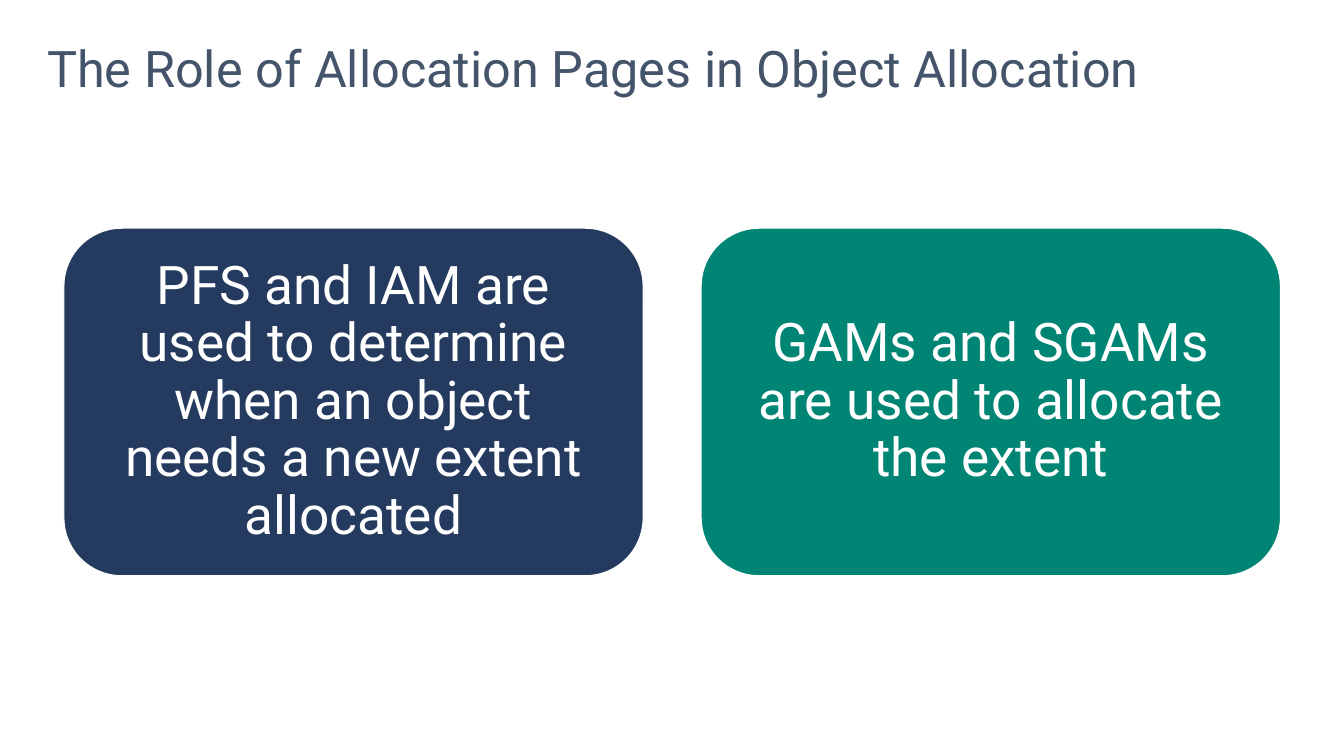
from pptx import Presentation
from pptx.dml.color import RGBColor
from pptx.enum.shapes import MSO_SHAPE
from pptx.enum.text import MSO_ANCHOR, PP_ALIGN
from pptx.util import Cm, Pt

ROUNDED = MSO_SHAPE.ROUNDED_RECTANGLE
TOP, MIDDLE = MSO_ANCHOR.TOP, MSO_ANCHOR.MIDDLE
LEFT, CENTER = PP_ALIGN.LEFT, PP_ALIGN.CENTER

COLORS = {
    "title": "44546A",
    "navy": "243A5E",
    "teal": "008575",
    "white": "FFFFFF",
}

CARDS = [
    ("PFS and IAM are used to determine when an object needs a new extent allocated", "navy"),
    ("GAMs and SGAMs are used to allocate the extent", "teal"),
]
CARD_LEFT, CARD_TOP = 1.61, 5.75
CARD_WIDTH, CARD_HEIGHT = 14.6, 8.76
CARD_GAP = 1.46


class SlideBuilder:
    font = "Roboto"

    def __init__(self, page):
        self.page = page

    def color(self, name):
        return RGBColor.from_string(COLORS[name])

    def set_text(self, box, text, size, color, align, anchor, inset, spacing):
        frame = box.text_frame
        frame.word_wrap = True
        frame.vertical_anchor = anchor
        frame.margin_left = frame.margin_right = Cm(inset)
        frame.margin_top = frame.margin_bottom = Cm(inset)
        frame.text = text
        para = frame.paragraphs[0]
        para.alignment = align
        para.line_spacing = spacing
        span = para.runs[0]
        span.font.name = self.font
        span.font.size = Pt(size)
        span.font.color.rgb = self.color(color)

    def title(self, text, left, top, width, height):
        box = self.page.shapes.add_textbox(Cm(left), Cm(top), Cm(width), Cm(height))
        self.set_text(box, text, 36, "title", LEFT, TOP, 0, Pt(35))

    def card(self, text, fill, left, top, width, height):
        box = self.page.shapes.add_shape(ROUNDED, Cm(left), Cm(top), Cm(width), Cm(height))
        box.shadow.inherit = False
        box.fill.solid()
        box.fill.fore_color.rgb = self.color(fill)
        box.line.color.rgb = self.color("white")
        box.line.width = Pt(0.85)
        self.set_text(box, text, 38, "white", CENTER, MIDDLE, 0.41, 0.9)


def main():
    deck = Presentation()
    deck.slide_width, deck.slide_height = Cm(33.87), Cm(19.05)
    builder = SlideBuilder(deck.slides.add_slide(deck.slide_layouts[6]))
    builder.title("The Role of Allocation Pages in Object Allocation", 1.19, 1.22, 31.5, 1.22)
    for index, (text, fill) in enumerate(CARDS):
        left = CARD_LEFT + index * (CARD_WIDTH + CARD_GAP)
        builder.card(text, fill, left, CARD_TOP, CARD_WIDTH, CARD_HEIGHT)
    deck.save("out.pptx")


if __name__ == "__main__":
    main()
